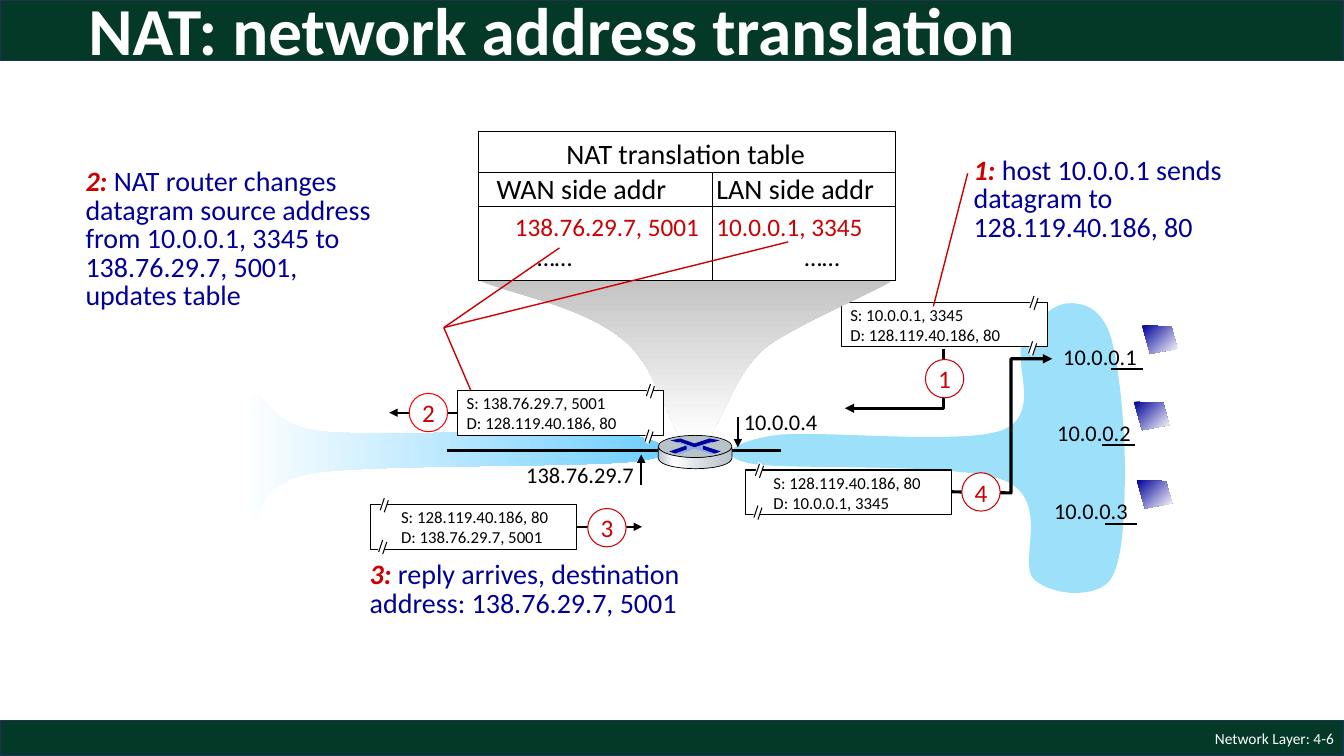
from lxml.etree import SubElement
from pptx import Presentation
from pptx.dml.color import RGBColor
from pptx.enum.shapes import MSO_CONNECTOR, MSO_SHAPE
from pptx.enum.text import MSO_ANCHOR as ANCHOR, PP_ALIGN as ALIGN
from pptx.oxml.ns import qn
from pptx.util import Pt

FONT = "Calibri"
GREEN = RGBColor(0x04, 0x39, 0x27)
BAR_EDGE = RGBColor(0x1E, 0x32, 0x56)
WHITE = RGBColor(0xFF, 0xFF, 0xFF)
BLACK = RGBColor(0, 0, 0)
RED = RGBColor(0xCC, 0, 0)
BRIGHT_RED = RGBColor(0xFF, 0, 0)
NAVY = RGBColor(0, 0, 0x99)
SKY = RGBColor(0x66, 0xCC, 0xFF)
PALE_SKY = RGBColor(0x9C, 0xE0, 0xFA)
GRAY = RGBColor(0xBF, 0xBF, 0xBF)
STEEL = RGBColor(0xB8, 0xC2, 0xC9)
LIGHT_STEEL = RGBColor(0xD6, 0xDC, 0xE0)
ROUTER_BLUE = RGBColor(0, 0, 0xA3)
SOFT_BLUE = RGBColor(0x8F, 0xAA, 0xDC)

# Outlines: a pair is a straight step, six numbers are a Bézier step.
WAN_CLOUD = [(267.8, 36), (230.4, 32.4, 102.2, 39.6, 59, 35.3), (15.8, 31, 17.3, 0, 8.6, 10.8),
             (0, 20.9, 0.7, 88.6, 8.6, 97.9), (15.8, 106.6, 6.5, 72, 53.3, 64.8),
             (99.4, 58.3, 250.6, 61.2, 285.8, 56.2), (321.8, 51.1, 299.5, 40.3, 267.8, 36)]
LAN_CLOUD = [(43.9, 95), (73.4, 90.7, 176.4, 102.2, 206.6, 91.4), (236.2, 79.9, 213.8, 43.2, 221.8, 28.1),
             (229.7, 13, 243.4, 1.4, 253.4, 0.7), (263.5, 0, 276.5, 2.9, 283.7, 22.3),
             (290.2, 41.8, 294.5, 87.8, 294.5, 117.4), (294.5, 146.9, 293.8, 185, 283.7, 198.7),
             (272.9, 211.7, 242.6, 209.5, 229.7, 198), (217.4, 186.5, 242.6, 141.8, 208.8, 127.4),
             (175, 113.8, 54.7, 120.2, 27.4, 115.2), (0, 109.4, 15.8, 99.4, 43.9, 95)]
CALLOUT = [(0, 7.9), (0, 7.9, 260, 0, 293.8, 7.9), (303.8, 7.2, 226.8, 38.9, 204.5, 56.2),
           (182.9, 74.2, 172.8, 110.9, 163.4, 121), (144.7, 121),
           (134.6, 108.7, 126.7, 68.4, 102.2, 49.7), (72.7, 25.9, 23, 18, 0, 7.9)]
ROUTER_SIDE = [(52.6, 8.6), (52.6, 16.6), (51.1, 22.3, 35.3, 23.8, 26.6, 23.8), (18, 23.8, 1.4, 22.3, 0, 16.6),
               (0, 8.6), (2.2, 13, 17.3, 15.8, 25.9, 15.8), (34.6, 15.8, 50.4, 13.7, 52.6, 8.6)]
ROUTER_ARROWS = [
    ([(36.7, 2.2), (43.9, 3.6), (38.9, 5), (37.4, 5), (25.9, 8.6), (15.8, 5), (13.7, 5), (8.6, 3.6),
      (15.8, 2.2), (25.9, 5.8)], ROUTER_BLUE),
    ([(31.7, 7.2), (44.6, 11.5), (40.3, 13), (31.7, 10.1)], ROUTER_BLUE),
    ([(20.2, 7.2), (20.9, 10.1), (12.2, 13), (7.9, 11.5)], ROUTER_BLUE),
    ([(13.7, 5), (15.8, 5), (25.9, 8.6), (37.4, 5), (38.9, 5), (31.7, 7.2), (31.7, 10.1), (40.3, 13),
      (38.2, 13.7), (25.9, 9.4), (14.4, 13.7), (12.2, 13), (20.2, 10.1), (20.2, 7.2)], SOFT_BLUE)]
SCREEN = [(0, 0), (20.9, 0.7), (25.2, 16.6), (5.8, 20.2)]
BREAK_GAP = [(2.9, 0), (0, 9.4), (3.6, 12.2), (6.5, 2.9)]


def style(shape, fill=None, edge=None, width=0.75):
    shape.shadow.inherit = False
    if fill is None:
        shape.fill.background()
    else:
        shape.fill.solid()
        shape.fill.fore_color.rgb = fill
    if edge is None:
        shape.line.fill.background()
    else:
        shape.line.color.rgb = edge
        shape.line.width = Pt(width)
    return shape


def set_gradient(shape, angle, *stops):
    """Each stop is a percentage and a colour; the angle runs clockwise."""
    shape.fill.gradient()
    gradient = shape._element.spPr.find(qn("a:gradFill"))
    stop_list = gradient.find(qn("a:gsLst"))
    for old in list(stop_list):
        stop_list.remove(old)
    for percent, color in stops:
        stop = SubElement(stop_list, qn("a:gs"), pos=str(percent * 1000))
        SubElement(stop, qn("a:srgbClr"), val=str(color))
    gradient.find(qn("a:lin")).set("ang", str(angle * 60000))


def add_outline(shapes, left, top, steps, fill=None, edge=None, width=0.75, close=True):
    """Draws all points as straight steps, then joins each Bézier step's three into one curve."""
    placed = [(Pt(left + step[i]), Pt(top + step[i + 1])) for step in steps for i in range(0, len(step), 2)]
    builder = shapes.build_freeform(*placed[0])
    builder.add_line_segments(placed[1:], close=close)
    shape = builder.convert_to_shape()
    segments = iter(list(shape._element.spPr.iter(qn("a:lnTo"))))
    for step in steps[1:]:
        segment = next(segments)
        if len(step) == 6:
            segment.tag = qn("a:cubicBezTo")
            for _ in range(2):
                extra = next(segments)
                segment.append(extra[0])
                extra.getparent().remove(extra)
    return style(shape, fill, edge, width)


def add_line(shapes, x1, y1, x2, y2, color=BLACK, width=0.75, arrow=False):
    line = shapes.add_connector(MSO_CONNECTOR.STRAIGHT, Pt(x1), Pt(y1), Pt(x2), Pt(y2))
    line.line.color.rgb = color
    line.line.width = Pt(width)
    if arrow:
        SubElement(line.line._get_or_add_ln(), qn("a:tailEnd"), type="triangle")
    SubElement(line._element.spPr, qn("a:effectLst"))
    return line


def add_elbow(shapes, left, top, points):
    """Bent line whose arrowhead sits at its first point."""
    elbow = add_outline(shapes, left, top, points, edge=BLACK, width=2.25, close=False)
    SubElement(elbow.line._get_or_add_ln(), qn("a:headEnd"), type="triangle")


def set_font(target, size, color, bold=False, italic=False):
    font = target.font
    font.name, font.size, font.bold, font.italic = FONT, Pt(size), bold, italic
    font.color.rgb = color


def add_text(shapes, left, top, width, height, lines, size, color=BLACK, wrap=True):
    box = shapes.add_textbox(Pt(left), Pt(top), Pt(width), Pt(height))
    frame = box.text_frame
    frame.word_wrap = wrap
    frame.text = "\n".join(lines)
    for para in frame.paragraphs:
        set_font(para, size, color)
    return frame


def add_caption(shapes, left, top, width, height, number, lines):
    frame = add_text(shapes, left, top, width, height, lines, 20, NAVY)
    for para in frame.paragraphs:
        para.line_spacing = 0.85
    first = frame.paragraphs[0]
    first.runs[0].text = f"{number}: "
    set_font(first.runs[0], 20, RED, bold=True, italic=True)
    first.add_run().text = lines[0]


def add_badge(shapes, left, top, number, edge=RED):
    badge = style(shapes.add_shape(MSO_SHAPE.OVAL, Pt(left), Pt(top), Pt(27.4), Pt(27.4)), WHITE, edge)
    frame = badge.text_frame
    frame.margin_left = frame.margin_right = frame.margin_top = frame.margin_bottom = 0
    frame.word_wrap = False
    frame.text = number
    frame.paragraphs[0].alignment = ALIGN.CENTER
    set_font(frame.paragraphs[0], 18, RED)


def add_packet(shapes, left, top, source, target, breaks, text_shift):
    """Datagram box; breaks are the offsets of the slashes on its top and bottom edges."""
    packet = style(shapes.add_shape(MSO_SHAPE.RECTANGLE, Pt(left), Pt(top), Pt(147.2), Pt(32)), WHITE, BLACK)
    add_text(shapes, left + text_shift, top - 1.8, 139, 36, [f"S: {source}", f"D: {target}"], 12)
    for dx, dy in breaks:
        x, y = left + dx, top + dy
        add_outline(shapes, x, y, BREAK_GAP, WHITE)
        for shift_x, shift_y in ((0, 0), (2.9, 1.45)):
            add_line(shapes, x + 3.6 + shift_x, y + 1.4 + shift_y, x + 0.7 + shift_x, y + 10 + shift_y)
    return packet


def add_nat_table(shapes, left, top):
    rows = [(("NAT translation table", ""), 29.5, 20, BLACK, (0, 2), ANCHOR.BOTTOM),
            (("WAN side addr", "LAN side addr"), 24.4, 20, BLACK, (13, 3), ANCHOR.TOP),
            (("138.76.29.7, 5001", "10.0.0.1, 3345"), 26, 18, RED, (26, 3), ANCHOR.BOTTOM),
            (("……", "……"), 26.6, 18, BLACK, (42, 66), ANCHOR.TOP)]
    table = shapes.add_table(4, 2, Pt(left), Pt(top), Pt(298), Pt(106.5)).table
    table.first_row = table.horz_banding = False
    table.columns[0].width, table.columns[1].width = Pt(167), Pt(131)
    for r, (words, height, size, color, indents, anchor) in enumerate(rows):
        table.rows[r].height = Pt(height)
        for c, word in enumerate(words):
            cell = table.cell(r, c)
            cell.margin_left, cell.margin_right = Pt(indents[c]), Pt(2 if r == 0 else 0)
            cell.margin_top = cell.margin_bottom = 0
            cell.vertical_anchor = anchor
            for side, shown in {"L": True, "R": True, "T": r < 3, "B": r != 2}.items():
                border = SubElement(cell._tc.get_or_add_tcPr(), qn(f"a:ln{side}"), w=str(Pt(0.75)))
                fill = SubElement(border, qn("a:solidFill" if shown else "a:noFill"))
                if shown:
                    SubElement(fill, qn("a:srgbClr"), val=str(BLACK))
            cell.fill.solid()
            cell.fill.fore_color.rgb = WHITE
            cell.text = word
            set_font(cell.text_frame.paragraphs[0], size, color)
    table.cell(0, 0).merge(table.cell(0, 1))
    table.cell(0, 0).text_frame.paragraphs[0].alignment = ALIGN.CENTER


def add_host(shapes, left, top, label_left, address):
    add_text(shapes, label_left, top + 8.8, 67.7, 26.6, [address], 16, wrap=False)
    set_gradient(add_outline(shapes, left, top, SCREEN, NAVY), 45, (0, NAVY), (100, WHITE))
    add_line(shapes, left - 22.5, top + 31, left + 0.5, top + 31, width=1.5)


def add_router(shapes, left, top):
    add_line(shapes, left - 151, top + 10.8, left + 88, top + 10.8, width=2)
    side = add_outline(shapes, left, top, ROUTER_SIDE, STEEL, BLACK, 0.5)
    set_gradient(side, 0, (0, STEEL), (21, WHITE), (60, LIGHT_STEEL), (100, STEEL))
    style(shapes.add_shape(MSO_SHAPE.OVAL, Pt(left), Pt(top), Pt(52.6), Pt(15.8)), STEEL, BLACK, 0.5)
    for steps, color in ROUTER_ARROWS:
        add_outline(shapes, left, top, steps, color)
    add_line(shapes, left - 12.2, top + 35.3, left - 12.2, top + 13.7, width=1.5, arrow=True)
    add_line(shapes, left + 56.9, top - 13, left + 56.9, top + 8.6, width=1.5, arrow=True)


def add_frame(slide):
    """Title, top and bottom bars, and the page label."""
    shapes = slide.shapes
    for top, height in ((514.8, 25.2), (0, 43.2)):
        style(shapes.add_shape(MSO_SHAPE.RECTANGLE, 0, Pt(top), Pt(960), Pt(height)), GREEN, BAR_EDGE, 1)
    label = add_text(shapes, 744, 514.8, 216, 25.2, ["Network Layer: 4-6"], 11, WHITE)
    label.vertical_anchor = ANCHOR.MIDDLE
    label.paragraphs[0].alignment = ALIGN.RIGHT
    title = shapes.title
    title.left, title.top, title.width, title.height = Pt(56), Pt(-18), Pt(828), Pt(84)
    title.text_frame.text = "NAT: network address translation"
    title.text_frame.vertical_anchor = ANCHOR.MIDDLE
    para = title.text_frame.paragraphs[0]
    para.alignment, para.line_spacing = ALIGN.LEFT, 0.9
    set_font(para, 48, WHITE, bold=True)
    shapes._spTree.append(title._element)


def add_nat_diagram(shapes):
    right_breaks, left_breaks = [(134, -5.8), (133, 26.6)], [(6.5, -5.8), (5.4, 24)]
    wan, lan, server = "138.76.29.7, 5001", "10.0.0.1, 3345", "128.119.40.186, 80"
    set_gradient(add_outline(shapes, 171.4, 272.9, WAN_CLOUD, SKY), 0, (0, WHITE), (100, SKY))
    add_outline(shapes, 509, 216, LAN_CLOUD, PALE_SKY)

    add_packet(shapes, 601, 215.8, lan, server, right_breaks, -0.7)
    add_elbow(shapes, 603.4, 249.1, [(0, 42.5), (70.5, 42.5), (70.5, 0)])
    add_badge(shapes, 661, 256.8, "1")
    add_text(shapes, 524.2, 288, 67.7, 26.6, ["10.0.0.4"], 16, wrap=False)
    add_text(shapes, 368.8, 326.2, 92.2, 26.6, ["138.76.29.7"], 16, wrap=False)
    add_caption(shapes, 688.3, 109, 242, 69, "1", ["host 10.0.0.1 sends datagram to 128.119.40.186, 80"])
    add_line(shapes, 691.2, 123.8, 666.7, 218.9, RED, 1)

    set_gradient(add_outline(shapes, 342, 192.2, CALLOUT, GRAY), 90, (0, GRAY), (100, WHITE))
    add_nat_table(shapes, 341.8, 93.6)

    add_packet(shapes, 532.4, 335.7, server, lan, left_breaks, 13)
    add_elbow(shapes, 679.7, 256.3, [(72, 0), (42.5, 0), (42.5, 95.8), (0, 95)])
    add_badge(shapes, 687, 337.7, "4")

    outgoing = add_packet(shapes, 327, 278.8, wan, server, right_breaks, -0.7)
    add_line(shapes, 327, 294.8, 278, 294.8, width=1.5, arrow=True).begin_connect(outgoing, 1)
    add_badge(shapes, 292.3, 281, "2", BRIGHT_RED)
    add_caption(shapes, 54, 117, 248.4, 110, "2", [
        "NAT router changes datagram source address from 10.0.0.1, 3345 to 138.76.29.7, 5001,",
        "updates table"])
    for x, y in ((336.2, 278.6), (399.6, 177.1), (563, 172.8)):
        add_line(shapes, 317, 234, x, y, RED, 1)

    reply = add_packet(shapes, 264.4, 360.3, server, wan, left_breaks, 15)
    add_line(shapes, 411.6, 376.3, 458.6, 376.3, width=1.5, arrow=True).begin_connect(reply, 3)
    add_badge(shapes, 419.8, 363.2, "3")
    add_caption(shapes, 257, 397.8, 280, 49, "3", ["reply arrives, destination address: 138.76.29.7, 5001"])

    hosts = [(815.8, 232.5, 752.4), (810, 287, 748.1), (812, 343, 745.9)]
    for number, (left, top, label_left) in enumerate(hosts, 1):
        add_host(shapes, left, top, label_left, f"10.0.0.{number}")
    add_router(shapes, 470.2, 311)


def main():
    deck = Presentation()
    deck.slide_width, deck.slide_height = Pt(960), Pt(540)
    slide = deck.slides.add_slide(deck.slide_layouts[5])
    add_frame(slide)
    add_nat_diagram(slide.shapes)
    deck.save("out.pptx")


if __name__ == "__main__":
    main()
